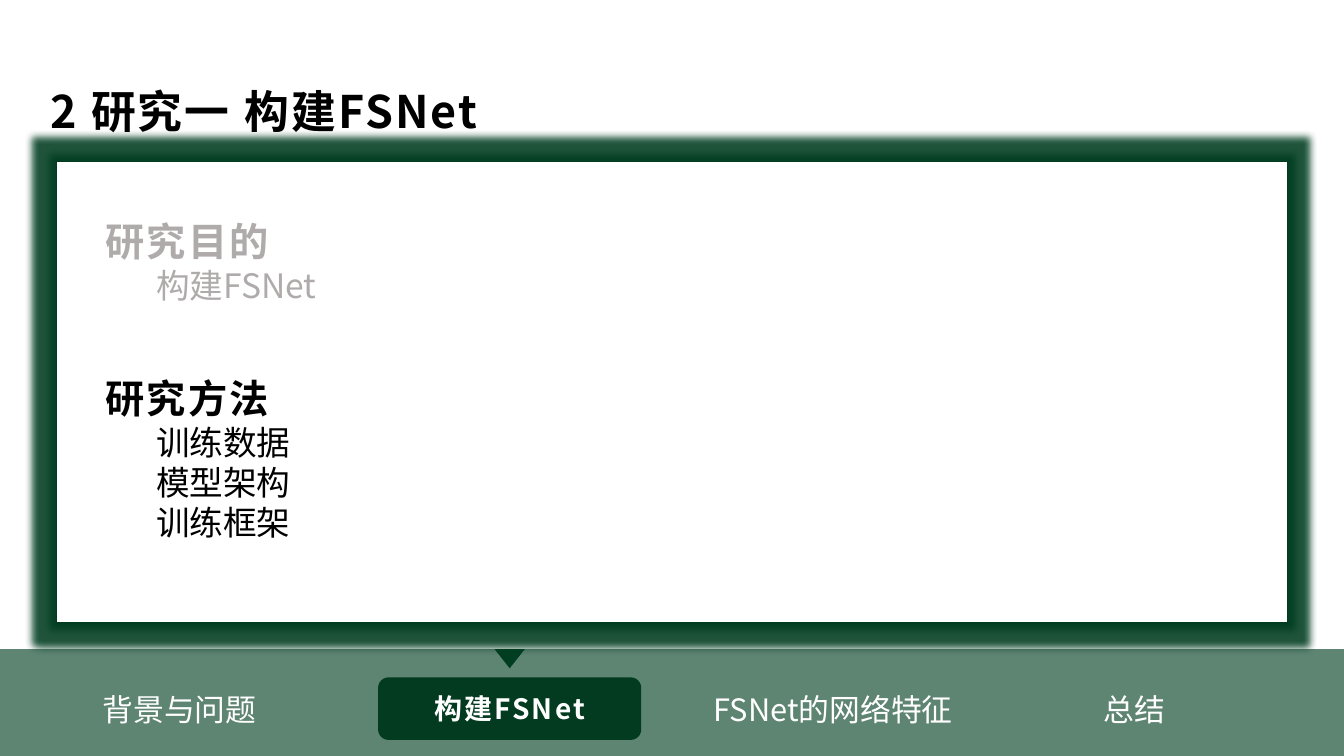
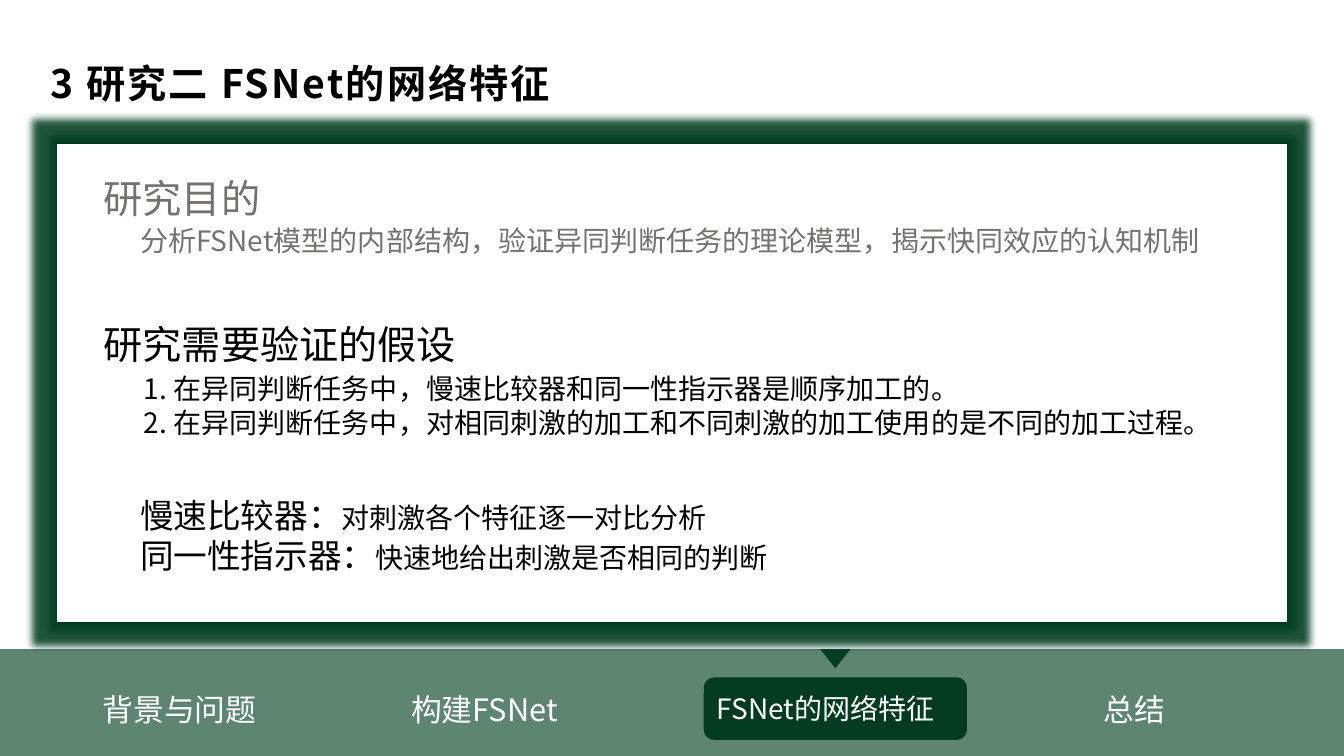
from dataclasses import dataclass

from lxml import etree
from pptx import Presentation
from pptx import util as u
from pptx.dml.color import RGBColor
from pptx.enum import shapes, text
from pptx.oxml import ns

WIDTH, HEIGHT = 13.33, 7.5
FONT = "Noto Sans CJK SC"
COLORS = {
    "deep": "023B1F",
    "band": "013D21",
    "white": "FFFFFF",
    "black": "000000",
    "faded": "AFABAB",
    "gray": "767171",
}
MARGIN = 0.56
BAND_TOP = 6.44
FRAME_BOTTOM = 6.18
PILL_WIDTH, PILL_HEIGHT = 2.61, 0.62
POINTER_WIDTH, POINTER_HEIGHT = 0.3, 0.19
# label, left edge of the plain label, its width, left edge when highlighted
SECTIONS = [
    ("背景与问题", 0.92, 1.74, 0.69),
    ("构建FSNet", 3.98, 3, 3.75),
    ("FSNet的网络特征", 6.98, 3, 6.98),
    ("总结", 10.85, 0.82, 10.62),
]


@dataclass
class Box:
    left: float
    top: float
    width: float
    height: float

    def inner(self, left, top, width, height):
        """A box placed relative to this one's top left corner."""
        return Box(self.left + left, self.top + top, width, height)

    def emu(self):
        return [u.Inches(v) for v in (self.left, self.top, self.width, self.height)]


@dataclass
class Style:
    size: float
    color: str = "black"
    bold: bool = False
    tracking: float = 0


@dataclass
class Line:
    """A paragraph: a list of (text, Style) pieces with its layout."""
    pieces: list
    spacing: float = 1
    level: int = 0


def rgb(name):
    return RGBColor.from_string(COLORS[name])


def add_element(parent, tag, **attributes):
    element = etree.SubElement(parent, ns.qn(tag))
    for key, value in attributes.items():
        element.set(key, str(value))
    return element


def format_run(run, style):
    run.font.name = FONT
    run.font.size = u.Pt(style.size)
    run.font.bold = style.bold
    run.font.color.rgb = rgb(style.color)
    properties = run._r.get_or_add_rPr()
    properties.set("spc", str(round(style.tracking * 100)))
    latin = properties.find(ns.qn("a:latin"))
    east_asian = etree.Element(ns.qn("a:ea"), typeface=FONT)
    latin.addnext(east_asian)


def write_lines(frame, lines, alignment=text.PP_ALIGN.LEFT):
    for index, line in enumerate(lines):
        paragraph = frame.paragraphs[0] if index == 0 else frame.add_paragraph()
        paragraph.alignment = alignment
        paragraph.line_spacing = line.spacing
        if line.level:
            paragraph.level = line.level
            properties = paragraph._p.get_or_add_pPr()
            properties.set("marL", str(u.Inches(0.5 * line.level)))
            properties.set("indent", "0")
        for words, style in line.pieces:
            run = paragraph.add_run()
            run.text = words
            format_run(run, style)


def add_text(slide, box, lines, wrap=True):
    frame = slide.shapes.add_textbox(*box.emu()).text_frame
    frame.word_wrap = wrap
    frame.auto_size = text.MSO_AUTO_SIZE.SHAPE_TO_FIT_TEXT
    write_lines(frame, lines)


def add_shape(slide, kind, box, fill, line=None):
    shape = slide.shapes.add_shape(kind, *box.emu())
    shape.shadow.inherit = False
    shape.fill.solid()
    shape.fill.fore_color.rgb = rgb(fill)
    if line:
        shape.line.color.rgb = rgb(line)
        shape.line.width = u.Pt(1)
    else:
        shape.line.fill.background()
    return shape


def add_band(slide):
    band = add_shape(slide, shapes.MSO_SHAPE.RECTANGLE,
                     Box(0, BAND_TOP, WIDTH, HEIGHT - BAND_TOP), "band")
    color = band._element.spPr.find(".//" + ns.qn("a:srgbClr"))
    add_element(color, "a:alpha", val=63000)


def add_frame(slide, top):
    """The glowing white panel; returns the box its contents sit in."""
    box = Box(MARGIN, top, 12.21, FRAME_BOTTOM - top)
    panel = add_shape(slide, shapes.MSO_SHAPE.RECTANGLE, box, "white", "deep")
    effects = panel._element.spPr.find(ns.qn("a:effectLst"))
    glow = add_element(effects, "a:glow", rad=u.Pt(11))
    color = add_element(glow, "a:srgbClr", val=COLORS["band"])
    add_element(color, "a:alpha", val=88000)
    return box


def add_title(slide, words, top, size):
    style = Style(size, bold=True, tracking=1.5)
    add_text(slide, Box(0.4, top, 11.27, size / 50), [Line([(words, style)])])


def add_highlight(slide, label, left, style, alignment):
    """The dark pill of the current section and the pointer above it."""
    pill_box = Box(left, 6.72, PILL_WIDTH, PILL_HEIGHT)
    pill = add_shape(slide, shapes.MSO_SHAPE.ROUNDED_RECTANGLE, pill_box, "deep")
    pill.text_frame.word_wrap = True
    pill.text_frame.vertical_anchor = text.MSO_ANCHOR.MIDDLE
    write_lines(pill.text_frame, [Line([(label, style)])], alignment)
    pointer_box = Box(left + (PILL_WIDTH - POINTER_WIDTH) / 2, BAND_TOP,
                      POINTER_WIDTH, POINTER_HEIGHT)
    pointer = add_shape(slide, shapes.MSO_SHAPE.ISOSCELES_TRIANGLE, pointer_box, "band")
    pointer.rotation = 180


def add_navigation(slide, current, style, alignment):
    for index, (label, left, width, pill_left) in enumerate(SECTIONS):
        if index == current:
            add_highlight(slide, label, pill_left, style, alignment)
        else:
            add_text(slide, Box(left, 6.8, width, 0.47),
                     [Line([(label, Style(22, "white"))])], wrap=width == 3)


def add_outline(slide, box, heading, items, color):
    """A bold heading with indented items below it."""
    lines = [Line([(heading, Style(28, color, True, 1.5))], spacing=2)]
    lines += [Line([(item, Style(24, color))], level=1) for item in items]
    add_text(slide, box, lines)


def build_method_slide(slide):
    add_band(slide)
    frame = add_frame(slide, 1.6)
    add_outline(slide, frame.inner(0.39, 1.6, 9.02, 2.26), "研究方法",
                ["训练数据", "模型架构", "训练框架"], "black")
    add_outline(slide, frame.inner(0.39, 0.04, 9.02, 1.45), "研究目的",
                ["构建FSNet"], "faded")
    add_title(slide, "2 研究一 构建FSNet", 0.78, 32)
    add_navigation(slide, 1, Style(20, "white", True, 1.5), text.PP_ALIGN.CENTER)


def build_hypothesis_slide(slide):
    add_band(slide)
    frame = add_frame(slide, 1.42)
    headings = [("研究目的", -0.21, "gray"), ("研究需要验证的假设", 1.24, "black")]
    for words, top, color in headings:
        add_text(slide, frame.inner(0.37, top, 9.02, 0.9),
                 [Line([(words, Style(28, color))], spacing=2)])

    purpose = "分析FSNet模型的内部结构，验证异同判断任务的理论模型，揭示快同效应的认知机制"
    add_text(slide, frame.inner(0.73, 0.75, 10.75, 0.44),
             [Line([(purpose, Style(20, "gray"))])])

    hypotheses = [
        "1. 在异同判断任务中，慢速比较器和同一性指示器是顺序加工的。",
        "2. 在异同判断任务中，对相同刺激的加工和不同刺激的加工使用的是不同的加工过程。",
    ]
    add_text(slide, frame.inner(0.77, 2.22, 11.44, 0.77),
             [Line([(words, Style(20))]) for words in hypotheses])

    terms = [
        ("慢速比较器：", "对刺激各个特征逐一对比分析"),
        ("同一性指示器：", "快速地给出刺激是否相同的判断"),
    ]
    add_text(slide, frame.inner(0.73, 3.44, 10.65, 0.91),
             [Line([(term, Style(24)), (meaning, Style(20))]) for term, meaning in terms])

    add_title(slide, "3 研究二 FSNet的网络特征", 0.54, 28)
    add_navigation(slide, 2, Style(20, "white"), text.PP_ALIGN.LEFT)


def main():
    presentation = Presentation()
    presentation.slide_width = u.Inches(WIDTH)
    presentation.slide_height = u.Inches(HEIGHT)
    blank = presentation.slide_layouts[6]
    for build in (build_method_slide, build_hypothesis_slide):
        build(presentation.slides.add_slide(blank))
    presentation.save("out.pptx")


if __name__ == "__main__":
    main()
